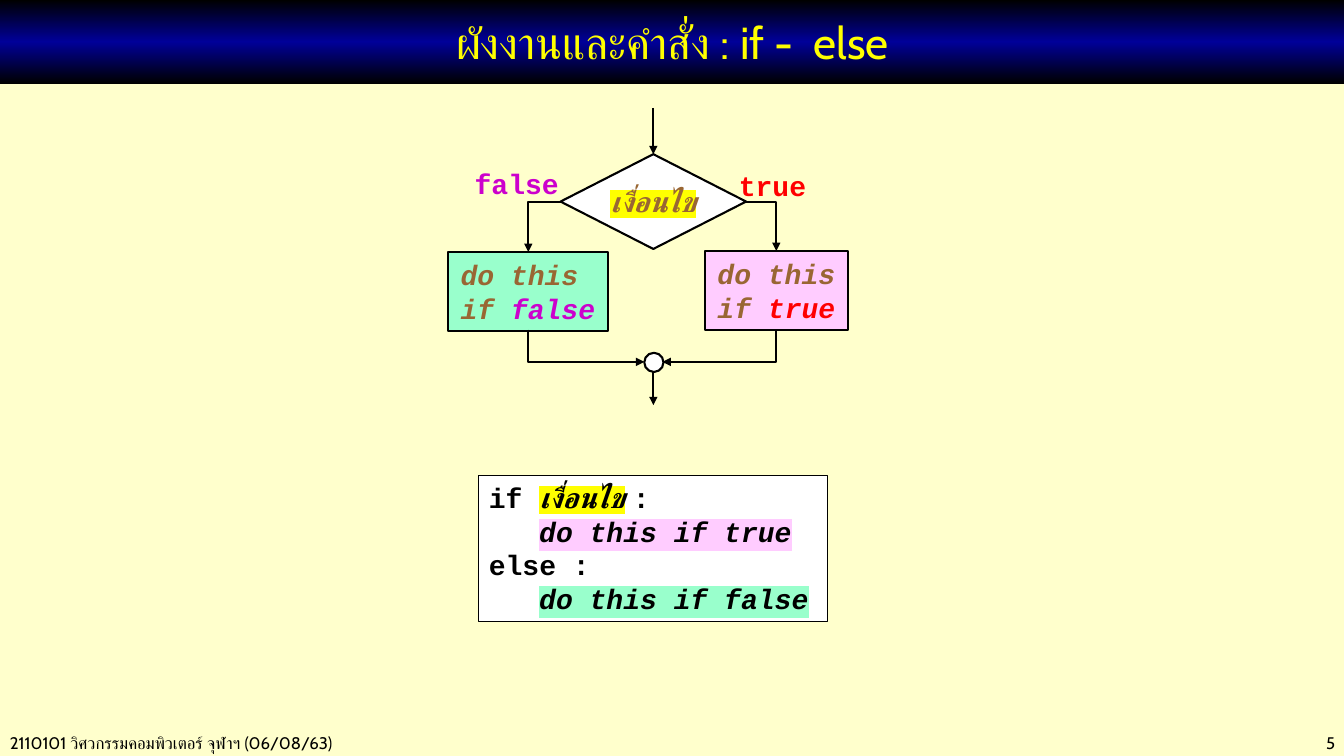
from copy import deepcopy
from dataclasses import dataclass, replace
from typing import Optional

from pptx import Presentation
from pptx.dml.color import RGBColor
from pptx.enum.shapes import MSO_CONNECTOR as CXN, MSO_SHAPE as SHAPE
from pptx.enum.text import MSO_ANCHOR as ANCHOR, MSO_AUTO_SIZE as AUTO, PP_ALIGN as ALIGN
from pptx.oxml.ns import qn
from pptx.util import Inches, Pt
from lxml.etree import SubElement

BLACK = RGBColor(0x00, 0x00, 0x00)
WHITE = RGBColor(0xFF, 0xFF, 0xFF)
CREAM = RGBColor(0xFF, 0xFF, 0xCC)
NAVY = RGBColor(0x00, 0x00, 0x99)
YELLOW = RGBColor(0xFF, 0xFF, 0x00)
BROWN = RGBColor(0x99, 0x66, 0x33)
RED = RGBColor(0xFF, 0x00, 0x00)
PURPLE = RGBColor(0xCC, 0x00, 0xCC)
PINK = RGBColor(0xFF, 0xCC, 0xFF)
MINT = RGBColor(0x99, 0xFF, 0xCC)

SANS, MONO = "Cabin", "Courier New"
CONDITION = "เงื่อนไข"


@dataclass(frozen=True)
class Run:
    text: str
    color: RGBColor = BLACK
    size: int = 20
    font: str = MONO
    bold: bool = True
    italic: bool = False
    highlight: Optional[RGBColor] = None


@dataclass(frozen=True)
class Label:
    box: tuple[float, float, float, float]
    run: Run
    align: ALIGN = ALIGN.LEFT


@dataclass(frozen=True)
class Branch:
    box: tuple[float, float, float, float]
    fill: RGBColor
    word: str
    color: RGBColor


@dataclass(frozen=True)
class Elbow:
    start: tuple[float, float]
    end: tuple[float, float]
    down_first: bool = False


def add_run(p, run: Run) -> None:
    r = p.add_run()
    r.text = run.text
    f = r.font
    f.size, f.bold, f.italic, f.name = Pt(run.size), run.bold, run.italic, run.font
    f.color.rgb = run.color
    if run.highlight is not None:
        rpr = r._r.get_or_add_rPr()
        mark = SubElement(rpr, qn("a:highlight"))
        SubElement(mark, qn("a:srgbClr")).set("val", str(run.highlight))
        rpr.find(qn("a:latin")).addprevious(mark)


def write(tf, lines: list[list[Run]], align: ALIGN = ALIGN.LEFT) -> None:
    for i, line in enumerate(lines):
        p = tf.paragraphs[0] if i == 0 else tf.add_paragraph()
        p.alignment = align
        for run in line:
            add_run(p, run)


def add_label(shapes, label: Label) -> None:
    tf = shapes.add_textbox(*map(Inches, label.box)).text_frame
    tf.word_wrap = True
    tf.auto_size = AUTO.SHAPE_TO_FIT_TEXT
    write(tf, [[label.run]], label.align)
    before = SubElement(tf.paragraphs[0]._p.get_or_add_pPr(), qn("a:spcBef"))
    SubElement(before, qn("a:spcPct")).set("val", "50000")


def add_box(shapes, kind: SHAPE, box: tuple, fill: RGBColor, width: float = 1.5):
    sp = shapes.add_shape(kind, *map(Inches, box))
    sp.shadow.inherit = False
    sp.fill.solid()
    sp.fill.fore_color.rgb = fill
    sp.line.color.rgb = BLACK
    sp.line.width = Pt(width)
    sp.text_frame.word_wrap = True
    sp.text_frame.vertical_anchor = ANCHOR.MIDDLE
    return sp


def add_arrow(shapes, kind: CXN, start: tuple, end: tuple):
    c = shapes.add_connector(kind, *map(Inches, (*start, *end)))
    c.line.color.rgb = BLACK
    c.line.width = Pt(1.5)
    SubElement(c.line._get_or_add_ln(), qn("a:tailEnd")).set("type", "triangle")
    SubElement(c._element.spPr, qn("a:effectLst"))
    return c


def add_elbow(shapes, elbow: Elbow) -> None:
    (x1, y1), (x2, y2) = elbow.start, elbow.end
    left = x2 < x1
    if elbow.down_first:
        # The frame is laid out unrotated, then turned a quarter about its centre
        cx, cy = (x1 + x2) / 2, (y1 + y2) / 2
        half_w, half_h = (y2 - y1) / 2, abs(x2 - x1) / 2
        side = half_w if left else -half_w
        x1, y1, x2, y2 = cx - side, cy - half_h, cx + side, cy + half_h
    c = add_arrow(shapes, CXN.ELBOW, (x1, y1), (x2, y2))
    sp_pr = c._element.spPr
    sp_pr.find(qn("a:prstGeom")).set("prst", "bentConnector2")
    if elbow.down_first:
        sp_pr.find(qn("a:xfrm")).set("rot", str((90 if left else 270) * 60000))


def add_title(s) -> None:
    title = s.shapes.title
    title.left, title.top, title.width, title.height = map(Inches, (0, 0, 13.34, 0.83))
    title.fill.gradient()
    title.fill.gradient_angle = 90
    stops = title.fill.gradient_stops
    last = stops[1]._gs
    last.addnext(deepcopy(last))
    for stop, pos, color in zip(title.fill.gradient_stops, (0, 0.5, 1), (BLACK, NAVY, BLACK)):
        stop.position = pos
        stop.color.rgb = color
    tf = title.text_frame
    tf.vertical_anchor = ANCHOR.MIDDLE
    write(tf, [[Run("ผังงานและคำสั่ง : if -  else", YELLOW, 32, SANS, False)]], ALIGN.CENTER)


def add_flowchart(s) -> None:
    shapes = s.shapes.add_group_shape().shapes
    axis = 6.48

    # Condition, branches and merge point
    decision = add_box(shapes, SHAPE.FLOWCHART_DECISION, (5.56, 1.53, 1.84, 0.94), WHITE)
    decision.text_frame.word_wrap = False
    write(decision.text_frame,
          [[Run(CONDITION, BROWN, font=SANS, italic=True, highlight=YELLOW)]], ALIGN.CENTER)
    for branch in (Branch((6.99, 2.49, 1.42, 0.78), PINK, "true ", RED),
                   Branch((4.44, 2.5, 1.59, 0.78), MINT, "false ", PURPLE)):
        tf = add_box(shapes, SHAPE.FLOWCHART_PROCESS, branch.box, branch.fill).text_frame
        tf.auto_size = AUTO.SHAPE_TO_FIT_TEXT
        step = Run("do this ", BROWN, italic=True)
        write(tf, [[step], [replace(step, text="if "),
                            replace(step, text=branch.word, color=branch.color)]], ALIGN.CENTER)
    add_box(shapes, SHAPE.FLOWCHART_CONNECTOR, (6.39, 3.5, 0.19, 0.19), WHITE)

    # Branch labels
    for label in (Label((4.61, 1.6, 1.13, 0.44), Run("false", PURPLE)),
                  Label((7.23, 1.62, 0.94, 0.44), Run("true", RED))):
        add_label(shapes, label)

    # Arrows
    entry = add_arrow(shapes, CXN.STRAIGHT, (axis, 1.07), (axis, 1.53))
    entry.end_connect(decision, 0)
    add_arrow(shapes, CXN.STRAIGHT, (axis, 3.69), (axis, 4.02))
    for elbow in (Elbow((7.4, 2), (7.7, 2.49)),
                  Elbow((5.56, 2), (5.24, 2.5)),
                  Elbow((7.7, 3.27), (6.57, 3.59), down_first=True),
                  Elbow((5.24, 3.27), (6.39, 3.59), down_first=True)):
        add_elbow(shapes, elbow)


def add_code(s) -> None:
    tf = add_box(s.shapes, SHAPE.RECTANGLE, (4.75, 4.72, 3.46, 1.45), WHITE, 0.75).text_frame
    tf.vertical_anchor = ANCHOR.TOP
    tf.auto_size = AUTO.SHAPE_TO_FIT_TEXT
    write(tf, [
        [Run("if "), Run(CONDITION, italic=True, highlight=YELLOW), Run(" :")],
        [Run("do this if true", italic=True, highlight=PINK)],
        [Run("else :")],
        [Run("do this if false", italic=True, highlight=MINT)],
    ])
    for p in tf.paragraphs[1::2]:
        p._p.get_or_add_pPr().set("marL", str(Inches(0.5)))


def main() -> None:
    prs = Presentation()
    prs.slide_width, prs.slide_height = Inches(13.33), Inches(7.5)
    s = prs.slides.add_slide(prs.slide_layouts[5])
    s.background.fill.solid()
    s.background.fill.fore_color.rgb = CREAM

    # Footer
    small = Run("2110101 วิศวกรรมคอมพิวเตอร์ จุฬาฯ (06/08/63)", size=12, font=SANS, bold=False)
    add_label(s.shapes, Label((0, 7.22, 5.2, 0.3), small))
    add_label(s.shapes, Label((11.5, 7.22, 1.84, 0.3), replace(small, text="5"), ALIGN.RIGHT))

    add_title(s)
    add_flowchart(s)
    add_code(s)
    prs.save("out.pptx")


if __name__ == "__main__":
    main()
